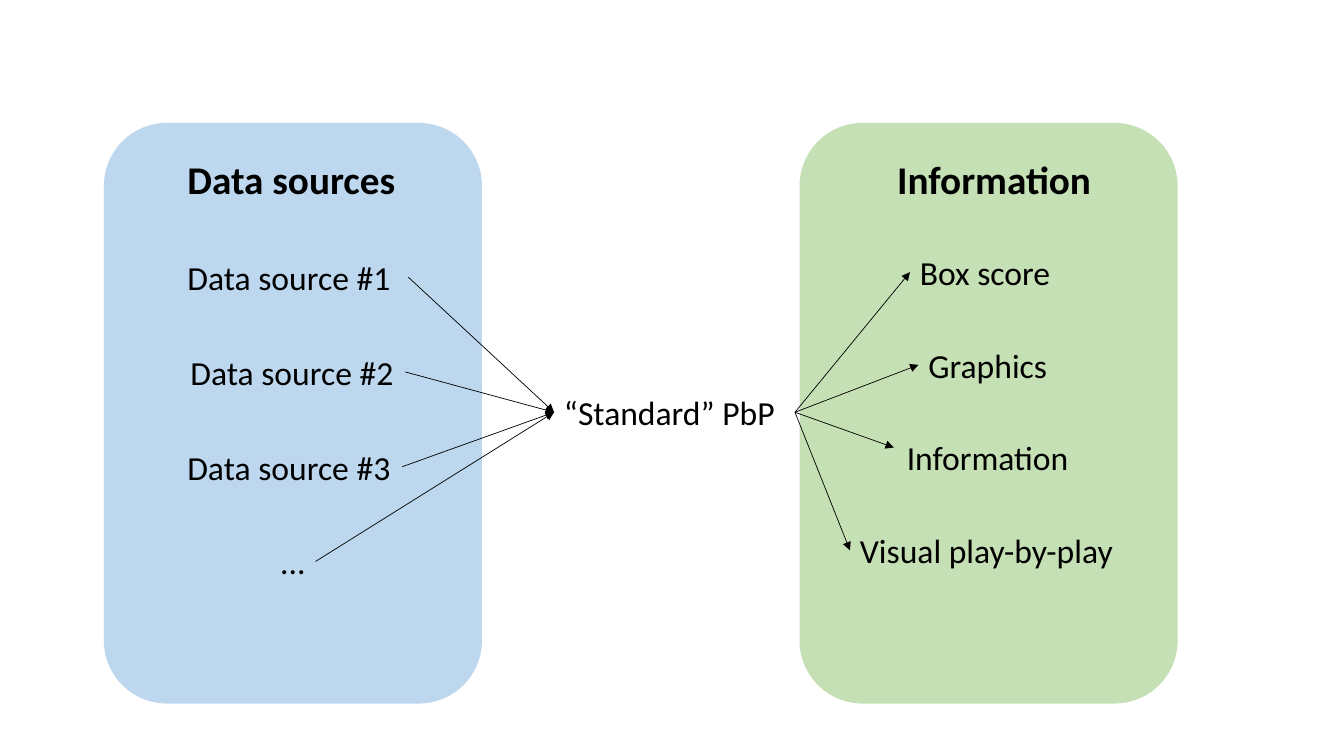
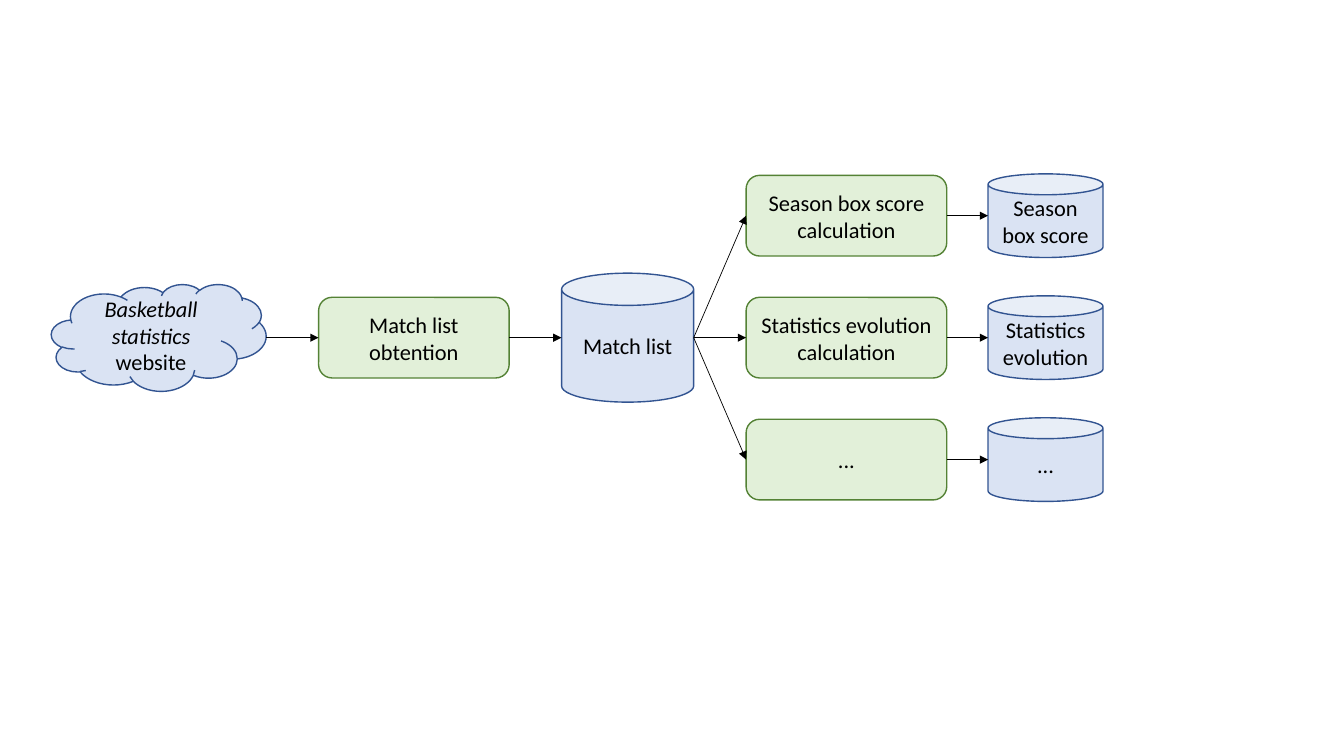
from lxml.etree import SubElement
from pptx import Presentation
from pptx.dml.color import RGBColor
from pptx.enum.shapes import MSO_CONNECTOR, MSO_SHAPE
from pptx.enum.text import MSO_ANCHOR, MSO_AUTO_SIZE, PP_ALIGN
from pptx.oxml.ns import qn
from pptx.util import Inches, Pt

FONT = "Calibri"
BLACK = "000000"
SOURCE_PANEL, INFORMATION_PANEL = "BDD7EE", "C5E0B4"
DATA = {"fill": "DAE3F3", "line": "325491"}
PROCESS = {"fill": "E2F0D9", "line": "548235"}
LEFT, RIGHT = 1, 3
JOINABLE = ("rect", "roundRect")


def color(value):
    return RGBColor.from_string(value)


def write(frame, paragraphs, align=None, **font):
    """Fill a text frame; each paragraph is a string or a (string, font) pair."""
    for index, item in enumerate(paragraphs):
        text, extra = item if isinstance(item, tuple) else (item, {})
        para = frame.paragraphs[0] if index == 0 else frame.add_paragraph()
        para.alignment = align
        span = para.add_run()
        span.text = text
        span.font.color.rgb = color(BLACK)
        for name, value in {"name": FONT, **font, **extra}.items():
            setattr(span.font, name, value)


def add_shape(page, kind, box, fill, line=None):
    shape = page.shapes.add_shape(kind, *map(Inches, box))
    shape.shadow.inherit = False
    shape.fill.solid()
    shape.fill.fore_color.rgb = color(fill)
    if line:
        shape.line.color.rgb = color(line)
        shape.line.width = Pt(1)
    else:
        shape.line.fill.background()
    return shape


def add_label(page, text, center, top, width, height=0.5, size=24, bold=None):
    label = page.shapes.add_textbox(
        *map(Inches, (center - width / 2, top, width, height)))
    frame = label.text_frame
    frame.word_wrap = False
    frame.auto_size = MSO_AUTO_SIZE.SHAPE_TO_FIT_TEXT
    write(frame, [text], size=Pt(size), bold=bold)
    return label


def add_arrow(page, source, target, nudge=(0, 0)):
    """Run from the right of source to the left of target, moved by nudge."""
    line = page.shapes.add_connector(
        MSO_CONNECTOR.STRAIGHT,
        source.left + source.width, source.top + source.height // 2,
        target.left + Inches(nudge[0]),
        target.top + target.height // 2 + Inches(nudge[1]))
    if is_joinable(source):
        line.begin_connect(source, RIGHT)
    if is_joinable(target) and nudge == (0, 0):
        line.end_connect(target, LEFT)
    line.line.color.rgb = color(BLACK)
    line.line.width = Pt(0.5)
    SubElement(line.line._get_or_add_ln(), qn("a:tailEnd"), type="triangle")
    SubElement(line._element.spPr, qn("a:effectLst"))


def is_joinable(shape):
    return shape._element.spPr.find(qn("a:prstGeom")).get("prst") in JOINABLE


def add_panel(page, box, fill, title, entries, first_row, pitch):
    """Draw a titled panel; title and entries are (text, width, shift from centre)."""
    left, top, width, _ = box
    center = left + width / 2
    add_shape(page, MSO_SHAPE.ROUNDED_RECTANGLE, box, fill)
    text, label_width, shift = title
    add_label(page, text, center + shift, top + 0.27, label_width, 0.57, 28, True)
    return [add_label(page, text, center + shift, top + first_row + pitch * row,
                      label_width)
            for row, (text, label_width, shift) in enumerate(entries)]


def build_overview(page):
    top, width, height = 1.22, 3.75, 5.76
    sources = add_panel(
        page, (1.03, top, width, height), SOURCE_PANEL, ("Data sources", 2.29, 0),
        [("Data source #1", 2.29, 0), ("Data source #2", 2.23, 0),
         ("Data source #3", 2.23, -0.03), ("...", 0.45, 0)],
        first_row=1.28, pitch=0.94)
    results = add_panel(
        page, (7.93, top, width, height), INFORMATION_PANEL,
        ("Information", 2.15, 0.07),
        [("Box score", 1.5, -0.03), ("Graphics", 1.39, 0),
         ("Information", 1.82, 0), ("Visual play-by-play", 2.75, 0)],
        first_row=1.23, pitch=0.92)
    standard = add_label(page, "“Standard” PbP", 6.69, 3.84, 2.39)
    for source in sources:
        add_arrow(page, source, standard)
    for result in results:
        nudge = (-0.03, -0.1) if result.text_frame.text == "Information" else (0, 0)
        add_arrow(page, standard, result, nudge)


def add_node(page, kind, left, middle, size, paragraphs, style):
    width, height = size
    node = add_shape(page, kind, (left, middle - height / 2, width, height), **style)
    node.text_frame.word_wrap = True
    node.text_frame.vertical_anchor = MSO_ANCHOR.MIDDLE
    write(node.text_frame, paragraphs, PP_ALIGN.CENTER, size=Pt(16))
    return node


def add_branch(page, origin, left, middle, process, result):
    """Add one process and its stored result, fed from origin."""
    width, gap = 1.99, 0.41
    step = add_node(page, MSO_SHAPE.ROUNDED_RECTANGLE, left, middle, (width, 0.8),
                    process, PROCESS)
    store = add_node(page, MSO_SHAPE.CAN, left + width + gap, middle, (1.14, 0.83),
                     result, DATA)
    add_arrow(page, origin, step)
    add_arrow(page, step, store)


def build_flow(page):
    left, middle, gap, pitch = 0.51, 3.35, 0.52, 1.21
    stages = [
        (MSO_SHAPE.CLOUD, (2.13, 1.06),
         [("Basketball statistics", {"italic": True}), "website"], DATA),
        (MSO_SHAPE.ROUNDED_RECTANGLE, (1.89, 0.8), ["Match list obtention"], PROCESS),
        (MSO_SHAPE.CAN, (1.31, 1.28), ["Match list"], DATA),
    ]
    previous = None
    for kind, size, paragraphs, style in stages:
        node = add_node(page, kind, left, middle, size, paragraphs, style)
        if previous:
            add_arrow(page, previous, node)
        previous = node
        left += size[0] + gap
    branches = [
        (["Season box score calculation"], ["Season", "box score"]),
        (["Statistics evolution calculation"], ["Statistics evolution"]),
        (["..."], ["..."]),
    ]
    for row, (process, result) in enumerate(branches, start=-1):
        add_branch(page, previous, left, middle + row * pitch, process, result)


def main():
    deck = Presentation()
    deck.slide_width, deck.slide_height = Inches(13.33), Inches(7.5)
    for build in (build_overview, build_flow):
        build(deck.slides.add_slide(deck.slide_layouts[6]))
    deck.save("out.pptx")


if __name__ == "__main__":
    main()
